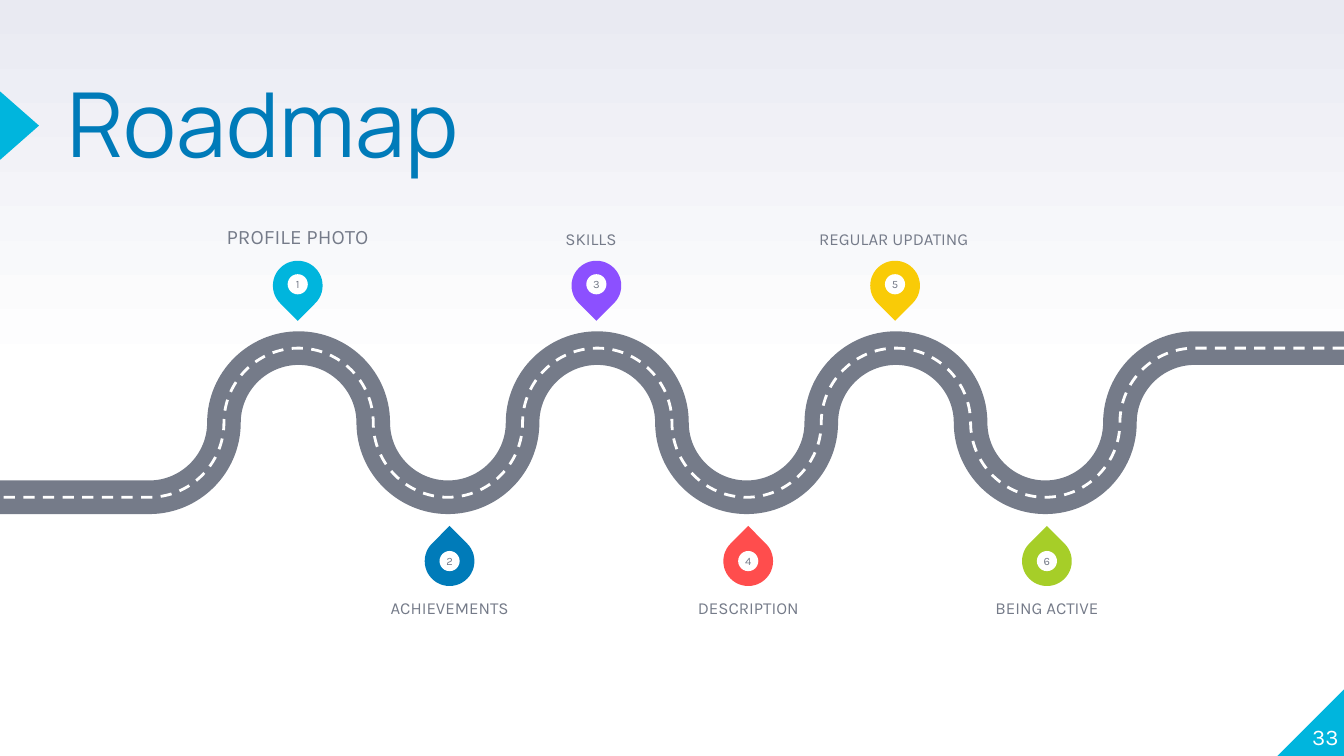
from lxml import etree
from pptx import Presentation
from pptx.dml.color import RGBColor
from pptx.enum.dml import MSO_LINE
from pptx.enum.shapes import MSO_SHAPE
from pptx.enum.text import MSO_ANCHOR, MSO_AUTO_SIZE, PP_ALIGN
from pptx.oxml.ns import qn
from pptx.util import Inches, Pt

TOP, MIDDLE, BOTTOM = MSO_ANCHOR.TOP, MSO_ANCHOR.MIDDLE, MSO_ANCHOR.BOTTOM
LEFT, CENTER, RIGHT = PP_ALIGN.LEFT, PP_ALIGN.CENTER, PP_ALIGN.RIGHT
TRIANGLE, CORNER = MSO_SHAPE.ISOSCELES_TRIANGLE, MSO_SHAPE.RIGHT_TRIANGLE
TEARDROP, OVAL = MSO_SHAPE.TEAR, MSO_SHAPE.OVAL

WHITE = RGBColor(0xFF, 0xFF, 0xFF)
MIST = RGBColor(0xE9, 0xEA, 0xF2)
GREY = RGBColor(0x75, 0x7B, 0x89)
CYAN = RGBColor(0x00, 0xB5, 0xDD)
BLUE = RGBColor(0x00, 0x7B, 0xB9)
PURPLE = RGBColor(0x8C, 0x50, 0xFF)
RED = RGBColor(0xFF, 0x4D, 0x4D)
YELLOW = RGBColor(0xF9, 0xCB, 0x07)
GREEN = RGBColor(0xA6, 0xCE, 0x28)

W, H = 10, 5.625
COL = W / 9             # distance between neighbouring bends
ROAD_TOP, ROAD_BOTTOM = 2.59, 3.7
ROAD_MIDDLE = (ROAD_TOP + ROAD_BOTTOM) / 2
ARC = 0.55              # control point distance of a quarter circle, in radii


def add_filled(shapes, kind, x, y, w, h, color, rotation=0):
    """Add a borderless shape without shadow."""
    sp = shapes.add_shape(kind, Inches(x), Inches(y), Inches(w), Inches(h))
    sp.fill.solid()
    sp.fill.fore_color.rgb = color
    sp.line.fill.background()
    sp.shadow.inherit = False
    sp.rotation = rotation
    return sp


def write(sp, text, size, color, align=CENTER, anchor=TOP, font="Karla"):
    tf = sp.text_frame
    frame = {"word_wrap": True, "auto_size": MSO_AUTO_SIZE.NONE, "vertical_anchor": anchor,
             "margin_left": 0, "margin_top": 0, "margin_right": 0, "margin_bottom": 0}
    for name, value in frame.items():
        setattr(tf, name, value)
    p = tf.paragraphs[0]
    p.alignment = align
    r = p.add_run()
    r.text = text
    r.font.name, r.font.size = font, Pt(size)
    r.font.color.rgb = color
    return p


prs = Presentation()
prs.slide_width, prs.slide_height = Inches(W), Inches(H)
slide = prs.slides.add_slide(prs.slide_layouts[5])
shapes = slide.shapes

# Background: white lower half, fading to mist at the top
fill = slide.background.fill
fill.gradient()
fill.gradient_angle = 90
for stop, position, color in zip(fill.gradient_stops, (0.5, 1), (WHITE, MIST)):
    stop.position = position
    stop.color.rgb = color

# Title and slide number
corner = add_filled(shapes, CORNER, 9.5, 5.12, 0.51, 0.51, CYAN)
corner.element.spPr.find(qn("a:xfrm")).set("flipH", "1")
add_filled(shapes, TRIANGLE, -0.11, 0.79, 0.51, 0.29, CYAN, 90)
title = shapes.title
title.left, title.top, title.width, title.height = map(Inches, (0.5, 0.66, 6.17, 1.18))
write(title, "Roadmap", 48, BLUE, LEFT, TOP, "Manrope").line_spacing = 0.8
number = shapes.add_textbox(Inches(9.46), Inches(5.07), Inches(0.5), Inches(0.51))
write(number, "33", 12, WHITE, RIGHT, BOTTOM)

# Road: crests at even columns, troughs at odd ones, from right to left
points = [(W, ROAD_TOP)]
for half in range(16, 1, -1):
    y = ROAD_MIDDLE if half % 2 else (ROAD_TOP if half % 4 == 0 else ROAD_BOTTOM)
    points.append((half * COL / 2, y))
points.append((0, ROAD_BOTTOM))
road = [(Inches(x), Inches(y)) for x, y in points]
origin_y = Inches(ROAD_TOP)

for color, width, dash in ((GREY, 18, None), (WHITE, 1.5, MSO_LINE.DASH)):
    builder = shapes.build_freeform(*road[0])
    builder.add_line_segments(road[1:], close=False)
    sp = builder.convert_to_shape()
    # Every segment between the two straight ends becomes a quarter circle
    segments = list(sp.element.iter(qn("a:lnTo")))[1:-1]
    for i, segment in enumerate(segments):
        (x0, y0), (x1, y1) = road[i + 1:i + 3]
        dx, dy = ARC * (x1 - x0), ARC * (y1 - y0)
        if i % 2 == 0:
            controls = [(x0 + dx, y0), (x1, y1 - dy)]
        else:
            controls = [(x0, y0 + dy), (x1 - dx, y1)]
        curve = etree.Element(qn("a:cubicBezTo"))
        for x, y in controls + [(x1, y1)]:
            etree.SubElement(curve, qn("a:pt"), x=str(round(x)), y=str(round(y - origin_y)))
        segment.getparent().replace(segment, curve)
    sp.fill.background()
    sp.shadow.inherit = False
    sp.line.color.rgb = color
    sp.line.width = Pt(width)
    sp.line.dash_style = dash

# Milestones: label, label size, pin colour, label shift from the pin
milestones = [
    ("PROFILE PHOTO", 11, CYAN, 0),
    ("ACHIEVEMENTS", 9, BLUE, 0),
    ("SKILLS", 9, PURPLE, -0.04),
    ("DESCRIPTION", 9, RED, 0),
    ("REGULAR UPDATING", 9, YELLOW, -0.01),
    ("BEING ACTIVE", 9, GREEN, 0),
]
for i, (label, size, color, shift) in enumerate(milestones):
    offset = i // 2 * 2 * COL
    if i % 2 == 0:
        x, pin_y, dot_y, label_y, turn, anchor = 2.03 + offset, 1.94, 2.04, 1.27, 135, BOTTOM
    else:
        x, pin_y, dot_y, label_y, turn, anchor = 3.16 + offset, 3.99, 4.1, 4.45, 315, TOP
    pin = shapes.add_group_shape().shapes
    add_filled(pin, TEARDROP, x, pin_y, 0.37, 0.37, color, turn)
    dot = add_filled(pin, OVAL, x + 0.11, dot_y, 0.15, 0.15, WHITE)
    write(dot, str(i + 1), 6, GREY, CENTER, MIDDLE)
    box = shapes.add_textbox(Inches(x + shift - 0.52), Inches(label_y), Inches(1.41), Inches(0.58))
    write(box, label, size, GREY, CENTER, anchor)

prs.save("out.pptx")
